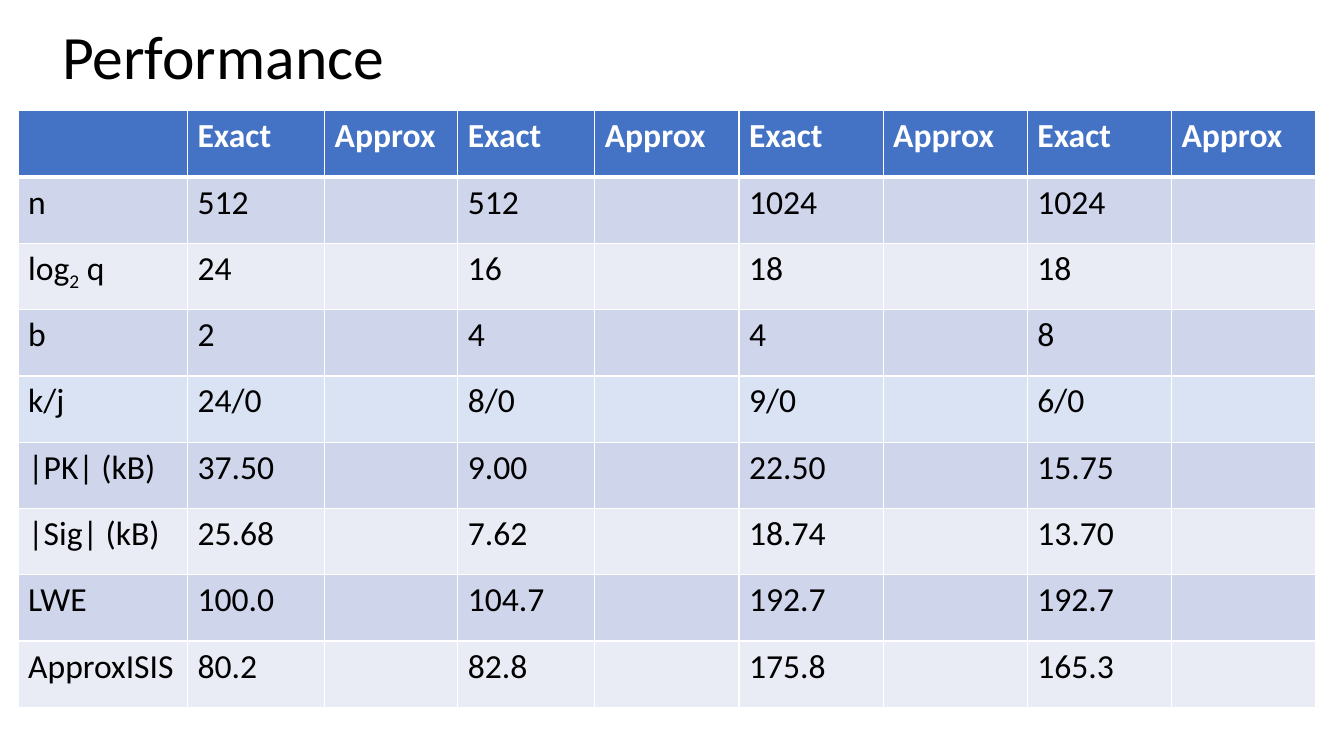
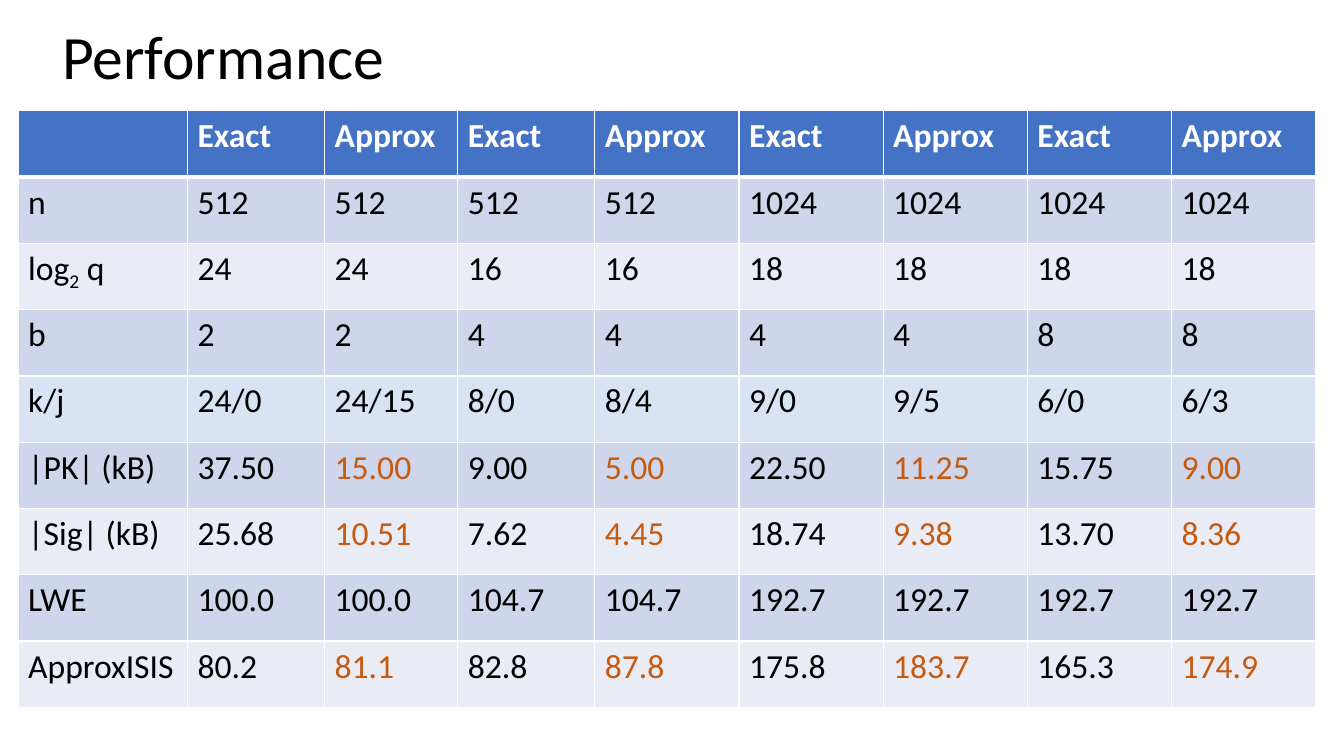
from dataclasses import dataclass

from lxml.etree import SubElement
from pptx import Presentation
from pptx.dml.color import RGBColor
from pptx.enum.text import MSO_ANCHOR as Anchor
from pptx.oxml.ns import qn
from pptx.slide import Slide
from pptx.table import _Cell as Cell
from pptx.util import Inches, Pt

WHITE = RGBColor(0xFF, 0xFF, 0xFF)
BLACK = RGBColor(0x00, 0x00, 0x00)
HEADER_BLUE = RGBColor(0x44, 0x72, 0xC4)
BAND_DARK = RGBColor(0xCF, 0xD5, 0xEA)
BAND_LIGHT = RGBColor(0xE9, 0xEB, 0xF5)
BASE_ROW_BLUE = RGBColor(0xDA, 0xE3, 0xF3)
GAIN_ORANGE = RGBColor(0xC5, 0x5A, 0x11)

FONT = "Calibri"
SLIDE_W, SLIDE_H = Inches(13.33), Inches(7.5)
TABLE_LEFT, TABLE_TOP = Inches(0.18), Inches(1.1)
TABLE_H = Inches(5.92)
COLUMN_WIDTHS = [Inches(w) for w in (1.68, 1.36, 1.32, 1.36, *[1.43] * 5)]
SUBSCRIPT_MARK = "_"


@dataclass(frozen=True)
class Measure:
    label: str
    exact: tuple[str, ...]
    approx: tuple[str, ...]
    fill: RGBColor
    improved: bool = False


MEASURES = (
    Measure("n", ("512", "512", "1024", "1024"),
            ("512", "512", "1024", "1024"), BAND_DARK),
    Measure("log_2_ q", ("24", "16", "18", "18"),
            ("24", "16", "18", "18"), BAND_LIGHT),
    Measure("b", ("2", "4", "4", "8"), ("2", "4", "4", "8"), BAND_DARK),
    Measure("k/j", ("24/0", "8/0", "9/0", "6/0"),
            ("24/15", "8/4", "9/5", "6/3"), BASE_ROW_BLUE),
    Measure("|PK| (kB)", ("37.50", "9.00", "22.50", "15.75"),
            ("15.00", "5.00", "11.25", "9.00"), BAND_DARK, improved=True),
    Measure("|Sig| (kB)", ("25.68", "7.62", "18.74", "13.70"),
            ("10.51", "4.45", "9.38", "8.36"), BAND_LIGHT, improved=True),
    Measure("LWE", ("100.0", "104.7", "192.7", "192.7"),
            ("100.0", "104.7", "192.7", "192.7"), BAND_DARK),
    Measure("ApproxISIS", ("80.2", "82.8", "175.8", "165.3"),
            ("81.1", "87.8", "183.7", "174.9"), BAND_LIGHT, improved=True),
)


def add_title(slide: Slide, wording: str) -> None:
    title = slide.shapes.add_textbox(
        Inches(0.52), Inches(-0.13), Inches(11.5), Inches(1.45))
    frame = title.text_frame
    frame.word_wrap = True
    frame.vertical_anchor = Anchor.MIDDLE
    frame.text = wording
    paragraph = frame.paragraphs[0]
    paragraph.line_spacing = 0.9
    font = paragraph.runs[0].font
    font.name, font.size, font.color.rgb = FONT, Pt(44), BLACK


def set_borders(cell: Cell, bottom: float) -> None:
    properties = cell._tc.get_or_add_tcPr()
    for side, width in (("L", 1), ("R", 1), ("T", 1), ("B", bottom)):
        line = SubElement(properties, qn(f"a:ln{side}"), w=str(Pt(width)))
        fill = SubElement(line, qn("a:solidFill"))
        SubElement(fill, qn("a:srgbClr"), val=str(WHITE))


def fill_cell(cell: Cell, wording: str, fill: RGBColor,
              color: RGBColor = BLACK, header: bool = False) -> None:
    set_borders(cell, bottom=3 if header else 1)
    cell.fill.solid()
    cell.fill.fore_color.rgb = fill
    paragraph = cell.text_frame.paragraphs[0]
    paragraph.font.size = Pt(24)
    for index, part in enumerate(wording.split(SUBSCRIPT_MARK)):
        if not part:
            continue
        run = paragraph.add_run()
        run.text = part
        font = run.font
        font.name, font.size, font.bold = FONT, Pt(24), header
        font.color.rgb = color
        if index % 2:
            font._element.set("baseline", "-25000")


def add_performance_table(slide: Slide, show_approx: bool) -> None:
    table = slide.shapes.add_table(
        len(MEASURES) + 1, len(COLUMN_WIDTHS), TABLE_LEFT, TABLE_TOP,
        sum(COLUMN_WIDTHS), TABLE_H).table
    for column, width in zip(table.columns, COLUMN_WIDTHS):
        column.width = width
    headings = ("", *("Exact", "Approx") * len(MEASURES[0].exact))
    for column, heading in enumerate(headings):
        fill_cell(table.cell(0, column), heading, HEADER_BLUE, WHITE, header=True)
    for row, measure in enumerate(MEASURES, start=1):
        fill_cell(table.cell(row, 0), measure.label, measure.fill)
        approx_color = GAIN_ORANGE if measure.improved else BLACK
        for pair, (exact, approx) in enumerate(zip(measure.exact, measure.approx)):
            column = 1 + 2 * pair
            fill_cell(table.cell(row, column), exact, measure.fill)
            fill_cell(table.cell(row, column + 1), approx if show_approx else "",
                      measure.fill, approx_color)


def main() -> None:
    deck = Presentation()
    deck.slide_width, deck.slide_height = SLIDE_W, SLIDE_H
    blank = deck.slide_layouts[6]
    for show_approx in (False, True):
        slide = deck.slides.add_slide(blank)
        add_title(slide, "Performance")
        add_performance_table(slide, show_approx)
    deck.save("out.pptx")


if __name__ == "__main__":
    main()
